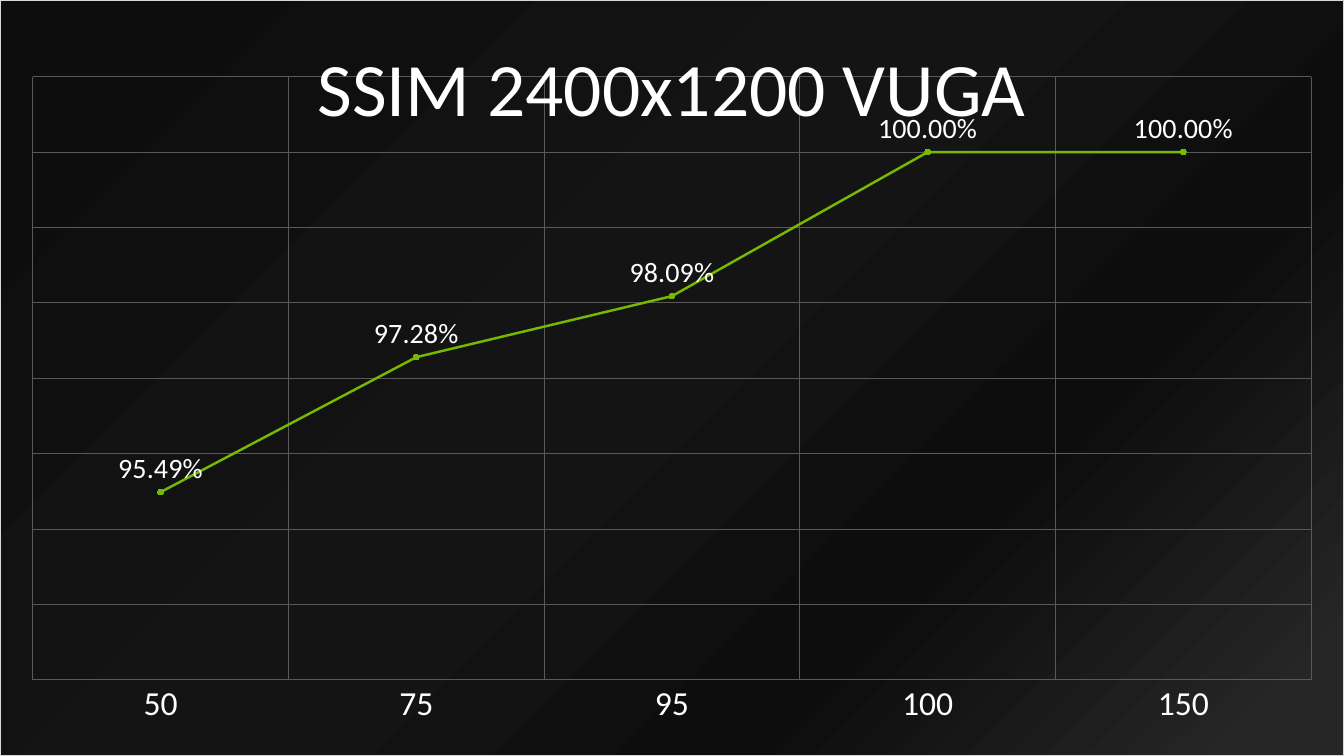
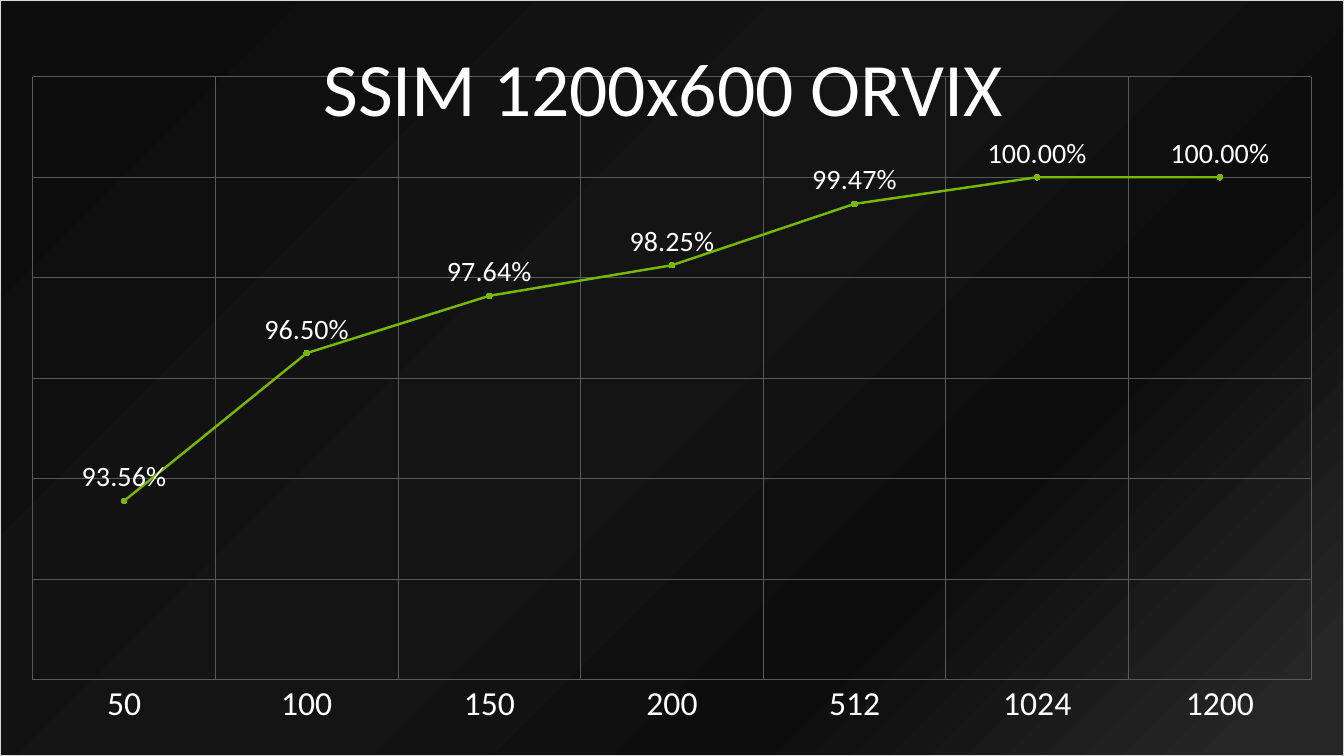
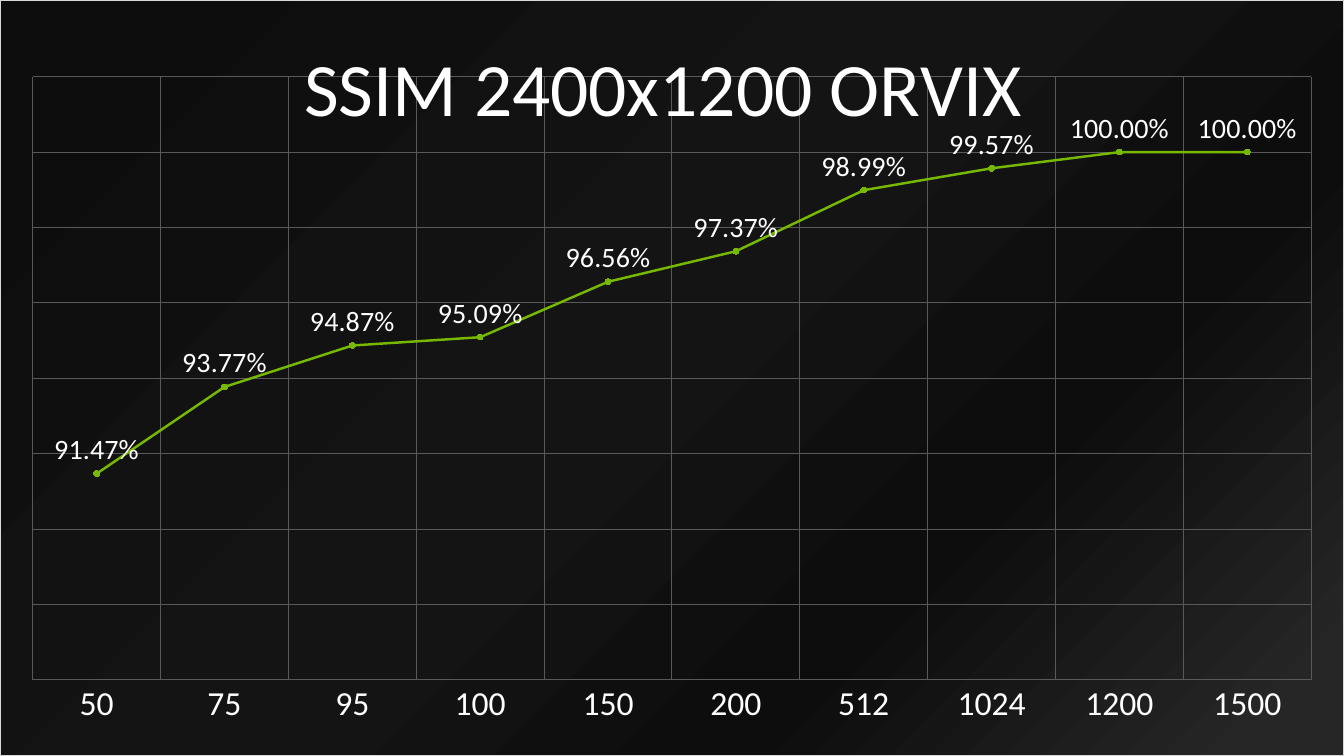
"""Build three dark line-chart slides of SSIM against sample count."""

from dataclasses import dataclass

from pptx import Presentation
from pptx.chart.chart import Chart
from pptx.chart.data import CategoryChartData
from pptx.dml.color import RGBColor
from pptx.dml.line import LineFormat
from pptx.enum.chart import XL_CHART_TYPE as ChartType
from pptx.enum.chart import XL_LABEL_POSITION as LabelPosition
from pptx.enum.chart import XL_MARKER_STYLE as MarkerStyle
from pptx.enum.chart import XL_TICK_MARK as TickMark
from pptx.oxml import parse_xml
from pptx.oxml.ns import nsdecls, qn
from pptx.slide import Slide
from pptx.text.text import Font
from pptx.util import Inches, Pt


@dataclass(frozen=True)
class Theme:
    font: str = "Calibri"
    page: str = "000000"
    text: str = "FFFFFF"
    grid: str = "595959"
    border: str = "D9D9D9"
    accent: str = "76B900"
    gradient: tuple[tuple[int, str], ...] = (
        (5, "262626"),
        (29, "0D0D0D"),
        (52, "141414"),
        (97, "0D0D0D"),
    )
    title_size: float = 54
    category_size: float = 24
    label_size: float = 20
    base_size: float = 10
    thin: float = 0.75
    thick: float = 1.75
    marker_size: int = 4


@dataclass(frozen=True)
class SsimChart:
    title: str
    scores: dict[str, float]
    low: float
    high: float
    step: float


THEME = Theme()
WIDTH, HEIGHT = Inches(13.33), Inches(7.5)
PLOT_FRAME = {"x": 0.024, "y": 0.101, "w": 0.952, "h": 0.799}

CHARTS = (
    SsimChart(
        "SSIM 2400x1200 VUGA",
        {"50": 0.9549, "75": 0.9728, "95": 0.9809, "100": 1, "150": 1},
        low=0.93, high=1.01, step=0.01,
    ),
    SsimChart(
        "SSIM 1200x600 ORVIX ",
        {"50": 0.9356, "100": 0.965, "150": 0.9764, "200": 0.9825,
         "512": 0.9947, "1024": 1, "1200": 1},
        low=0.9, high=1.02, step=0.02,
    ),
    SsimChart(
        "SSIM 2400x1200 ORVIX ",
        {"50": 0.9147, "75": 0.9377, "95": 0.9487, "100": 0.9509, "150": 0.9656,
         "200": 0.9737, "512": 0.9899, "1024": 0.9957, "1200": 1, "1500": 1},
        low=0.86, high=1.02, step=0.02,
    ),
)


def style_font(font: Font, *, size: float, color: str = THEME.text) -> None:
    """Apply the theme typeface with a size and colour."""
    font.name = THEME.font
    font.size = Pt(size)
    font.bold = False
    font.color.rgb = RGBColor.from_string(color)


def style_line(line: LineFormat, *, color: str, width: float = THEME.thin) -> None:
    """Give a line a solid colour and a width in points."""
    line.color.rgb = RGBColor.from_string(color)
    line.width = Pt(width)


def write_title(chart: Chart, text: str, *, size: float) -> None:
    """Write the chart title as one formatted span."""
    chart.has_title = True
    para = chart.chart_title.text_frame.paragraphs[0]
    span = para.add_run()
    span.text = text
    style_font(para.font, size=size)
    style_font(span.font, size=size)


def paint_backdrop(chart: Chart) -> None:
    """Fill the chart area with the radial gradient and outline it."""
    stops = "".join(
        f'<a:gs pos="{position * 1000}"><a:srgbClr val="{color}"/></a:gs>'
        for position, color in THEME.gradient
    )
    backdrop = parse_xml(
        f'<c:spPr {nsdecls("c", "a")}><a:gradFill><a:gsLst>{stops}</a:gsLst>'
        '<a:path path="circle"><a:fillToRect l="100000" t="100000"/></a:path></a:gradFill>'
        f'<a:ln w="{Pt(THEME.thin)}"><a:solidFill><a:srgbClr val="{THEME.border}"/>'
        "</a:solidFill></a:ln></c:spPr>"
    )
    chart.element.find(qn("c:chart")).addnext(backdrop)


def place_plot(chart: Chart) -> None:
    """Fix the inner plot area as fractions of the chart."""
    plot_area = chart.element.find(qn("c:chart")).find(qn("c:plotArea"))
    for layout in plot_area.findall(qn("c:layout")):
        plot_area.remove(layout)
    modes = "".join(f'<c:{side}Mode val="edge"/>' for side in "xy")
    frame = "".join(f'<c:{key} val="{value}"/>' for key, value in PLOT_FRAME.items())
    plot_area.insert(0, parse_xml(
        f'<c:layout {nsdecls("c")}><c:manualLayout><c:layoutTarget val="inner"/>'
        f"{modes}{frame}</c:manualLayout></c:layout>"
    ))


def style_axes(chart: Chart, content: SsimChart) -> None:
    """Set the grid, the category labels and the hidden value scale."""
    categories, values = chart.category_axis, chart.value_axis
    for axis in (categories, values):
        axis.has_major_gridlines = True
        axis.major_tick_mark = axis.minor_tick_mark = TickMark.NONE
        style_line(axis.major_gridlines.format.line, color=THEME.grid)
    categories.format.line.fill.background()
    style_font(categories.tick_labels.font, size=THEME.category_size)
    values.visible = False
    values.minimum_scale, values.maximum_scale = content.low, content.high
    values.major_unit = content.step


def style_series(chart: Chart) -> None:
    """Format the score line, its markers and its labels."""
    plot = chart.plots[0]
    plot.vary_by_categories = False
    series = plot.series[0]
    series.smooth = False
    style_line(series.format.line, color=THEME.accent, width=THEME.thick)
    marker = series.marker
    marker.style, marker.size = MarkerStyle.CIRCLE, THEME.marker_size
    marker.format.fill.solid()
    marker.format.fill.fore_color.rgb = RGBColor.from_string(THEME.accent)
    style_line(marker.format.line, color=THEME.accent)
    labels = series.data_labels
    labels.show_value = True
    labels.position = LabelPosition.ABOVE
    labels.number_format, labels.number_format_is_linked = "0.00%", False
    style_font(labels.font, size=THEME.label_size)


def draw_chart(page: Slide, content: SsimChart) -> None:
    """Draw one full-page SSIM chart."""
    data = CategoryChartData()
    data.categories = list(content.scores)
    data.add_series("Series 1", list(content.scores.values()))
    chart = page.shapes.add_chart(
        ChartType.LINE_MARKERS, Inches(0), Inches(0), WIDTH, HEIGHT, data
    ).chart
    chart.has_legend = False
    style_font(chart.font, size=THEME.base_size, color=THEME.page)
    write_title(chart, content.title, size=THEME.title_size)
    paint_backdrop(chart)
    place_plot(chart)
    style_axes(chart, content)
    style_series(chart)


def main() -> None:
    """Build and save the deck."""
    deck = Presentation()
    deck.slide_width, deck.slide_height = WIDTH, HEIGHT
    backdrop = deck.slide_master.background.fill
    backdrop.solid()
    backdrop.fore_color.rgb = RGBColor.from_string(THEME.page)
    blank = deck.slide_layouts[6]
    for content in CHARTS:
        draw_chart(deck.slides.add_slide(blank), content)
    deck.save("out.pptx")


if __name__ == "__main__":
    main()
